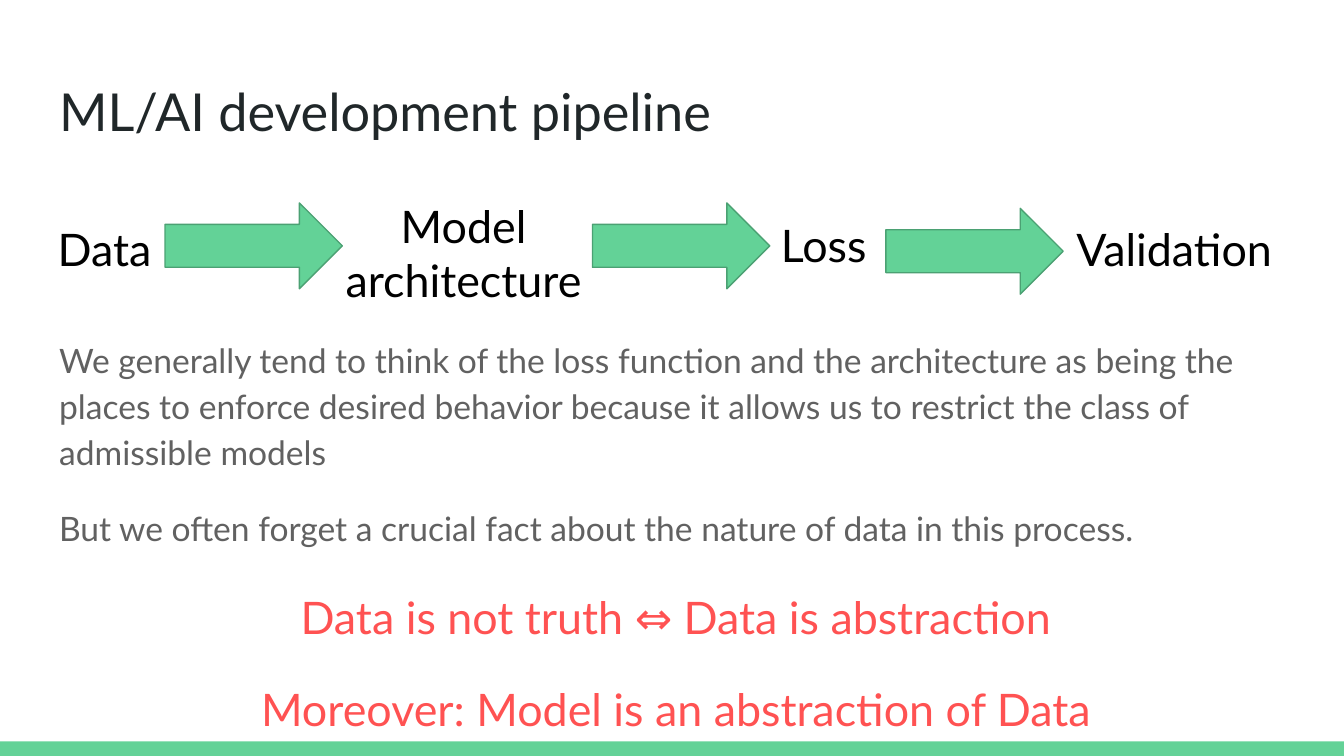
"""Build a slide showing the ML/AI development pipeline."""
from typing import NamedTuple

from lxml.etree import SubElement
from pptx import Presentation
from pptx.dml.color import RGBColor
from pptx.enum.shapes import MSO_SHAPE
from pptx.enum.text import MSO_ANCHOR, MSO_AUTO_SIZE, PP_ALIGN
from pptx.oxml.ns import qn
from pptx.shapes.autoshape import Shape
from pptx.slide import Slide
from pptx.util import Pt

FONT = "Lato"
GREEN = RGBColor(0x63, 0xD2, 0x97)
DARK_GREEN = RGBColor(0x4B, 0xA1, 0x73)
INK = RGBColor(0x20, 0x27, 0x29)
GRAY = RGBColor(0x61, 0x61, 0x61)
BLACK = RGBColor(0x00, 0x00, 0x00)
RED = RGBColor(0xFF, 0x52, 0x52)
WIDTH, HEIGHT = 720, 405
BAR_HEIGHT = 7.8
ARROW_WIDTH, ARROW_HEIGHT = 95, 46
INSET = 7.2


class Box(NamedTuple):
    left: float
    top: float
    width: float
    height: float


class Style(NamedTuple):
    size: float
    color: RGBColor
    align: PP_ALIGN = PP_ALIGN.LEFT
    line_spacing: float = 1.0
    gap: float = 0


class Stage(NamedTuple):
    name: str
    box: Box
    align: PP_ALIGN = PP_ALIGN.CENTER


TITLE = Style(28, INK)
BODY = Style(18, GRAY, line_spacing=1.15, gap=16)
CLAIM = Style(24, RED, PP_ALIGN.CENTER, 1.15, 16)

STAGES = [
    Stage("Data", Box(23.8, 111.6, 75, 28), PP_ALIGN.LEFT),
    Stage("Model architecture", Box(174.2, 99.4, 148.3, 60)),
    Stage("Loss", Box(406.8, 109.4, 69, 28)),
    Stage("Validation", Box(564.5, 111.6, 129, 28)),
]
ARROWS = [(88.4, 108.7), (317.4, 108.7), (474.6, 111.6)]
BODY_TEXT = [
    "We generally tend to think of the loss function and the architecture as being the "
    "places to enforce desired behavior because it allows us to restrict the class of "
    "admissible models",
    "But we often forget a crucial fact about the nature of data in this process.",
]
CLAIMS = [
    "Data is not truth ⇔ Data is abstraction",
    "Moreover: Model is an abstraction of Data",
]


def write(sp: Shape, texts: list[str], style: Style) -> None:
    tf = sp.text_frame
    tf.word_wrap = True
    tf.auto_size = MSO_AUTO_SIZE.NONE
    tf.vertical_anchor = MSO_ANCHOR.TOP
    tf.margin_left = tf.margin_top = tf.margin_right = tf.margin_bottom = Pt(INSET)
    for i, text in enumerate(texts):
        p = tf.add_paragraph() if i else tf.paragraphs[0]
        p.alignment = style.align
        p.line_spacing = style.line_spacing
        p.space_before = p.space_after = Pt(style.gap if i else 0)
        r = p.add_run()
        r.text = text
        r.font.name = FONT
        r.font.size = Pt(style.size)
        r.font.color.rgb = style.color


def fill_placeholder(sp: Shape, box: Box, texts: list[str], style: Style) -> None:
    sp.left, sp.top, sp.width, sp.height = map(Pt, box)
    write(sp, texts, style)
    for p in sp.text_frame.paragraphs:
        pPr = p._p.get_or_add_pPr()
        pPr.set("marL", "0")
        pPr.set("indent", "0")
        SubElement(pPr, qn("a:buNone"))


def add_text(s: Slide, box: Box, texts: list[str], style: Style) -> None:
    write(s.shapes.add_textbox(*map(Pt, box)), texts, style)


def add_filled(s: Slide, kind: MSO_SHAPE, box: Box) -> Shape:
    sp = s.shapes.add_shape(kind, *map(Pt, box))
    sp.shadow.inherit = False
    sp.fill.solid()
    sp.fill.fore_color.rgb = GREEN
    sp.line.fill.background()
    return sp


def add_arrow(s: Slide, left: float, top: float) -> None:
    sp = add_filled(s, MSO_SHAPE.RIGHT_ARROW, Box(left, top, ARROW_WIDTH, ARROW_HEIGHT))
    sp.line.color.rgb = DARK_GREEN
    sp.line.width = Pt(0.75)


def main() -> None:
    prs = Presentation()
    prs.slide_width, prs.slide_height = Pt(WIDTH), Pt(HEIGHT)
    s = prs.slides.add_slide(prs.slide_layouts[1])
    add_filled(s, MSO_SHAPE.RECTANGLE, Box(0, HEIGHT - BAR_HEIGHT, WIDTH, BAR_HEIGHT))
    fill_placeholder(s.shapes.title, Box(24.5, 35.3, 671, 45.4),
                     ["ML/AI development pipeline"], TITLE)
    fill_placeholder(s.placeholders[1], Box(24.5, 171.4, 671, 124.6), BODY_TEXT, BODY)
    for left, top in ARROWS:
        add_arrow(s, left, top)
    for stage in STAGES:
        add_text(s, stage.box, [stage.name], Style(24, BLACK, stage.align))
    add_text(s, Box(26.6, 304.6, 671, 77.8), CLAIMS, CLAIM)
    prs.save("out.pptx")


if __name__ == "__main__":
    main()
